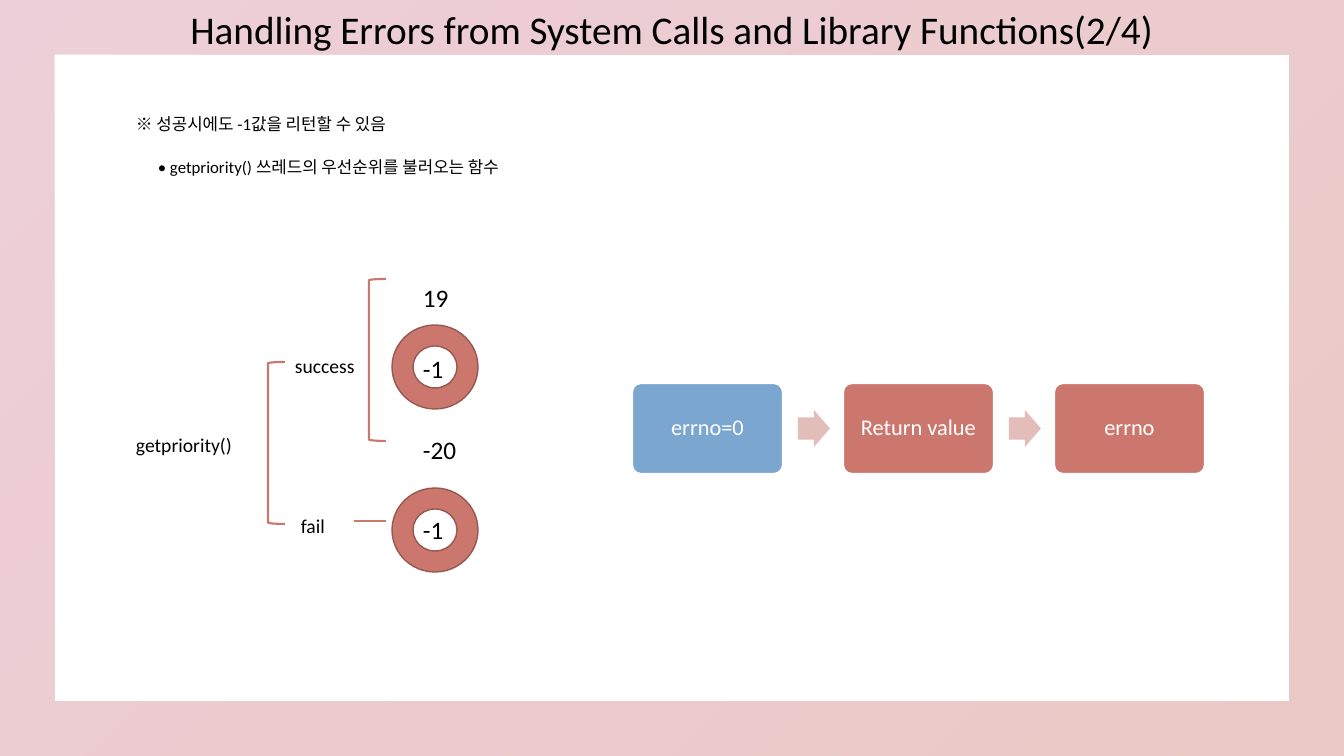
from lxml import etree
from pptx import Presentation
from pptx.dml.color import RGBColor
from pptx.enum.shapes import MSO_CONNECTOR, MSO_SHAPE
from pptx.enum.text import MSO_ANCHOR, PP_ALIGN
from pptx.oxml.ns import qn
from pptx.util import Pt

PX = 914400 / 100.8
FONT = "Calibri"
LEFT, CENTER = PP_ALIGN.LEFT, PP_ALIGN.CENTER
TOP, MIDDLE = MSO_ANCHOR.TOP, MSO_ANCHOR.MIDDLE
FRAME, DONUT = MSO_SHAPE.FRAME, MSO_SHAPE.DONUT
BRACKET, ARROW = MSO_SHAPE.LEFT_BRACKET, MSO_SHAPE.RIGHT_ARROW
ROUNDED, STRAIGHT = MSO_SHAPE.ROUNDED_RECTANGLE, MSO_CONNECTOR.STRAIGHT

BLACK = RGBColor(0x00, 0x00, 0x00)
WHITE = RGBColor(0xFF, 0xFF, 0xFF)
PINK = RGBColor(0xD4, 0x88, 0xA0)
RED = RGBColor(0xCB, 0x77, 0x6E)
DARK_RED = RGBColor(0x96, 0x58, 0x51)
PALE_RED = RGBColor(0xE2, 0xBD, 0xBA)
BLUE = RGBColor(0x7B, 0xA6, 0xCF)

# Content: text, left, top, width, height, size, alignment
TITLE = ("Handling Errors from System Calls and Library Functions(2/4)",
         17, 0, 1309, 57, 28, CENTER)
NOTES = [
    ("※ 성공시에도 -1값을 리턴할 수 있음", 126, 109, 823, 30, 12, LEFT),
    ("• getpriority() 쓰레드의 우선순위를 불러오는 함수", 148, 152, 823, 30, 12, LEFT),
]
BRANCHES = [
    ("getpriority()", 126, 428, 139, 34, 14, LEFT),
    ("success", 285, 349, 90, 34, 14, LEFT),
    ("fail", 291, 509, 90, 34, 14, LEFT),
]
VALUES = [("19", 277), ("-1", 348), ("-20", 429), ("-1", 509)]
VALUE_LEFT, VALUE_W, VALUE_H = 413, 90, 25
BRACKETS = [(369, 279), (268, 362)]
DONUT_TOPS = [325, 488]
FAIL_LINE = (386, 521, 354, 521)
STEPS = [("errno=0", BLUE), ("Return value", RED), ("errno", RED)]
STEP_LEFT, STEP_TOP, STEP_W, STEP_H, STEP_PITCH = 632, 383, 151, 91, 211
ARROW_W, ARROW_H = 32, 37

prs = Presentation()
prs.slide_width, prs.slide_height = round(1344 * PX), round(756 * PX)
s = prs.slides.add_slide(prs.slide_layouts[6])


def emu(*lengths):
    return [round(v * PX) for v in lengths]


def add_run(p, text, size, color):
    r = p.add_run()
    r.text = text
    r.font.name, r.font.size = FONT, Pt(size)
    r.font.color.rgb = color


def add_text(text, x, y, w, h, size, align):
    tf = s.shapes.add_textbox(*emu(x, y, w, h)).text_frame
    tf.word_wrap = True
    tf.vertical_anchor = TOP
    p = tf.paragraphs[0]
    p.alignment = align
    add_run(p, text, size, BLACK)


def add_shape(kind, x, y, w, h, fill=None, line=None, weight=1.5, adjust=()):
    sp = s.shapes.add_shape(kind, *emu(x, y, w, h))
    sp.shadow.inherit = False
    for i, value in enumerate(adjust):
        sp.adjustments[i] = value
    if fill is None:
        sp.fill.background()
    else:
        sp.fill.solid()
        sp.fill.fore_color.rgb = fill
    if line is None:
        sp.line.fill.background()
    else:
        sp.line.color.rgb = line
        sp.line.width = Pt(weight)
    return sp


# Translucent gradient frame
frame = add_shape(FRAME, 0, 0, 1344, 756, adjust=[0.072])
frame.fill.gradient()
frame.fill.gradient_angle = 315
for stop, color in zip(frame.fill.gradient_stops, (PINK, RED)):
    stop.color.rgb = color
for clr in frame._element.spPr.find(qn("a:gradFill")).iter(qn("a:srgbClr")):
    etree.SubElement(clr, qn("a:alpha")).set("val", "40000")

# Brackets, donuts and the line to the fail value
for x, y in BRACKETS:
    add_shape(BRACKET, x, y, 17, 162, line=RED)
for y in DONUT_TOPS:
    add_shape(DONUT, 392, y, 86, 84, RED, DARK_RED, 1)
fail_line = s.shapes.add_connector(STRAIGHT, *emu(*FAIL_LINE))
fail_line.line.color.rgb = RED
fail_line.line.width = Pt(1.5)
etree.SubElement(fail_line._element.spPr, qn("a:effectLst"))

# Title, notes, branch labels and return values
for item in [TITLE] + NOTES + BRANCHES:
    add_text(*item)
for text, y in VALUES:
    add_text(text, VALUE_LEFT, y, VALUE_W, VALUE_H, 18, LEFT)

# Checking steps with arrows in the gaps
for i, (text, color) in enumerate(STEPS):
    x = STEP_LEFT + i * STEP_PITCH
    box = add_shape(ROUNDED, x, STEP_TOP, STEP_W, STEP_H, color, WHITE, adjust=[0.1])
    tf = box.text_frame
    tf.word_wrap = True
    tf.vertical_anchor = MIDDLE
    tf.margin_left, tf.margin_right, tf.margin_top, tf.margin_bottom = emu(7, 7, 7, 7)
    p = tf.paragraphs[0]
    p.alignment = CENTER
    p.line_spacing = 0.9
    add_run(p, text, 16, WHITE)
    if i < len(STEPS) - 1:
        add_shape(ARROW, x + STEP_W + 15, STEP_TOP + (STEP_H - ARROW_H) // 2,
                  ARROW_W, ARROW_H, PALE_RED, adjust=[0.6, 0.5])

prs.save("out.pptx")
